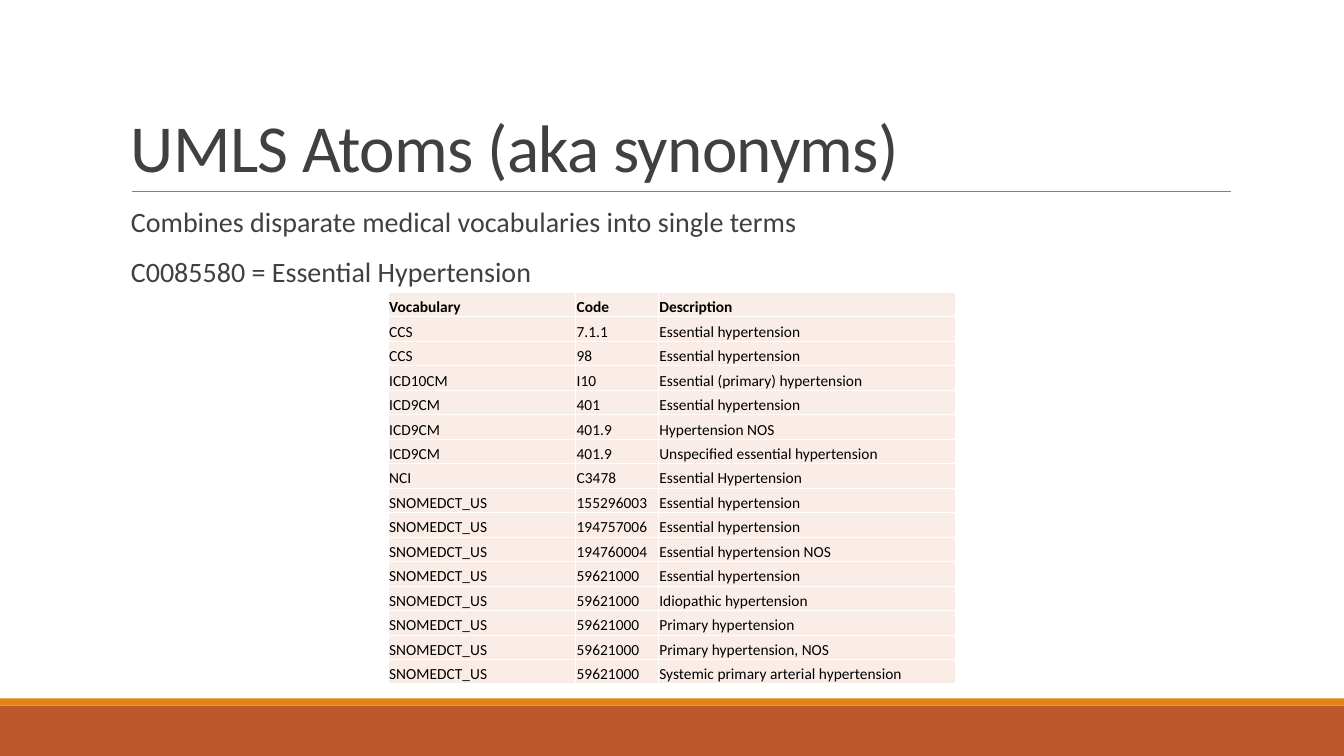
from lxml.etree import SubElement
from pptx import Presentation
from pptx.dml.color import RGBColor
from pptx.enum.shapes import MSO_CONNECTOR, MSO_SHAPE
from pptx.enum.text import MSO_ANCHOR
from pptx.oxml.ns import qn
from pptx.util import Inches, Pt

FONT = "Calibri"
TEXT_COLOR = "404040"
CELL_COLOR = "FAEDE7"
BORDER_COLOR = "FFFFFF"

COLUMN_WIDTHS = [1.86, 0.82, 2.95]
ATOMS = [
    ("Vocabulary", "Code", "Description"),
    ("CCS", "7.1.1", "Essential hypertension"),
    ("CCS", "98", "Essential hypertension"),
    ("ICD10CM", "I10", "Essential (primary) hypertension"),
    ("ICD9CM", "401", "Essential hypertension"),
    ("ICD9CM", "401.9", "Hypertension NOS"),
    ("ICD9CM", "401.9", "Unspecified essential hypertension"),
    ("NCI", "C3478", "Essential Hypertension"),
    ("SNOMEDCT_US", "155296003", "Essential hypertension"),
    ("SNOMEDCT_US", "194757006", "Essential hypertension"),
    ("SNOMEDCT_US", "194760004", "Essential hypertension NOS"),
    ("SNOMEDCT_US", "59621000", "Essential hypertension"),
    ("SNOMEDCT_US", "59621000", "Idiopathic hypertension"),
    ("SNOMEDCT_US", "59621000", "Primary hypertension"),
    ("SNOMEDCT_US", "59621000", "Primary hypertension, NOS"),
    ("SNOMEDCT_US", "59621000", "Systemic primary arterial hypertension"),
]


def color(value):
    return RGBColor.from_string(value)


def add_span(para, text, size, text_color, bold=False):
    span = para.add_run()
    span.text = text
    span.font.name = FONT
    span.font.size = Pt(size)
    span.font.bold = bold
    span.font.color.rgb = color(text_color)
    return span


def add_band(page, top, height, fill):
    band = page.shapes.add_shape(
        MSO_SHAPE.RECTANGLE, 0, Inches(top), Inches(13.33), Inches(height))
    band.shadow.inherit = False
    band.fill.solid()
    band.fill.fore_color.rgb = color(fill)
    band.line.fill.background()


def add_rule(page, left, right, top):
    rule = page.shapes.add_connector(
        MSO_CONNECTOR.STRAIGHT, Inches(left), Inches(top), Inches(right), Inches(top))
    rule.line.color.rgb = color("808080")
    rule.line.width = Pt(0.5)
    SubElement(rule._element.spPr, qn("a:effectLst"))


def add_text_frame(page, top, height, anchor):
    box = page.shapes.add_textbox(Inches(1.2), Inches(top), Inches(11), Inches(height))
    frame = box.text_frame
    frame.word_wrap = True
    frame.vertical_anchor = anchor
    return frame


def add_title(page, text):
    para = add_text_frame(page, 0.31, 1.59, MSO_ANCHOR.BOTTOM).paragraphs[0]
    para.line_spacing = 0.85
    span = add_span(para, text, 48, TEXT_COLOR)
    span.font._element.set("spc", "-50")


def add_body(page, lines):
    frame = add_text_frame(page, 2.02, 4.4, MSO_ANCHOR.TOP)
    for index, line in enumerate(lines):
        para = frame.add_paragraph() if index else frame.paragraphs[0]
        para.line_spacing = 0.9
        para.space_before = Pt(12)
        para.space_after = Pt(2)
        add_span(para, line, 20, TEXT_COLOR)


def style_cell(cell):
    cell.vertical_anchor = MSO_ANCHOR.BOTTOM
    cell.margin_left = cell.margin_right = cell.margin_top = Inches(0.01)
    cell.margin_bottom = 0
    # Borders come before the fill in the cell properties
    properties = cell._tc.get_or_add_tcPr()
    for side in ("a:lnL", "a:lnR", "a:lnT", "a:lnB"):
        border = SubElement(properties, qn(side), w=str(Pt(1)))
        fill = SubElement(border, qn("a:solidFill"))
        SubElement(fill, qn("a:srgbClr"), val=BORDER_COLOR)
    cell.fill.solid()
    cell.fill.fore_color.rgb = color(CELL_COLOR)


def add_atom_table(page):
    table = page.shapes.add_table(
        len(ATOMS), len(COLUMN_WIDTHS), Inches(3.85), Inches(2.9),
        Inches(sum(COLUMN_WIDTHS)), Inches(3.89)).table
    table.first_row = False
    table.horz_banding = False
    for column, width in zip(table.columns, COLUMN_WIDTHS):
        column.width = Inches(width)
    for row_index, atom in enumerate(ATOMS):
        for column_index, text in enumerate(atom):
            cell = table.cell(row_index, column_index)
            style_cell(cell)
            add_span(cell.text_frame.paragraphs[0], text, 11, "000000", row_index == 0)


def main():
    deck = Presentation()
    deck.slide_width = Inches(13.33)
    deck.slide_height = Inches(7.5)
    page = deck.slides.add_slide(deck.slide_layouts[6])

    # Footer bands and title rule
    add_band(page, 7, 0.5, "BD582C")
    add_band(page, 6.93, 0.07, "E48312")
    add_rule(page, 1.31, 12.21, 1.9)

    # Title and body text
    add_title(page, "UMLS Atoms (aka synonyms)")
    add_body(page, [
        "Combines disparate medical vocabularies into single terms",
        "C0085580 = Essential Hypertension",
    ])

    # Synonyms by vocabulary
    add_atom_table(page)

    deck.save("out.pptx")


if __name__ == "__main__":
    main()
